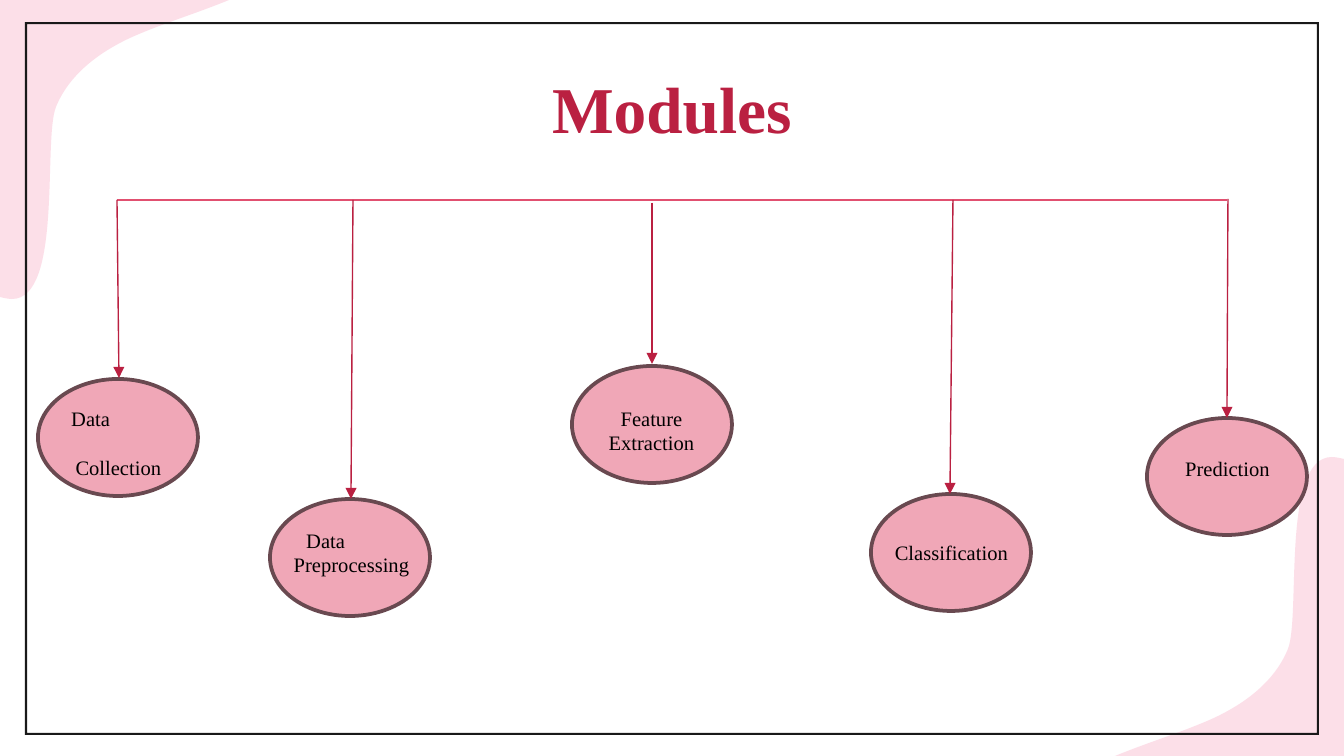
"""Build the Modules slide: five ovals hanging from one rail."""
from lxml import etree
from pptx import Presentation
from pptx import util as u
from pptx.dml.color import RGBColor
from pptx.enum import shapes, text
from pptx.oxml.ns import qn

WIDTH, HEIGHT = 1344, 756
SCALE = 9144000 / WIDTH
FONT = "Times New Roman"
COLORS = {"blob": "FABED2", "frame": "191919", "title": "BA2041", "rail": "E15070",
          "arrow": "BA2041", "oval": "F0A7B7", "outline": "694950", "label": "000000"}
TITLE = ("Modules", (106, 65, 1132, 85))
FRAME = (25, 22, 1294, 713)
RAIL = ((117, 200), (1227, 200))
OVAL_SIZE = (160, 117)
MODULES = [
    {"oval": (38, 379), "arrow": ((117, 200), (119, 378)), "box": (56, 399, 125, 63),
     "lines": [("Data", 2, 0), ("Collection", None, 13)]},
    {"oval": (270, 499), "arrow": ((353, 200), (351, 499)), "box": (275, 521, 153, 63),
     "lines": [("Data", 18, 0), ("Preprocessing", None, 0)]},
    {"oval": (572, 366), "arrow": ((652, 203), (652, 364)), "box": (587, 399, 129, 63),
     "lines": [("Feature Extraction", None, 0)]},
    {"oval": (871, 494), "arrow": ((953, 200), (950, 494)), "box": (876, 533, 151, 39),
     "lines": [("Classification", None, 0)]},
    {"oval": (1147, 418), "arrow": ((1228, 199), (1227, 418)), "box": (1153, 449, 149, 39),
     "lines": [("Prediction", None, 0)]},
]
BLOB_START = (1332, 457)
BLOB_PARTS = [
    [(1335, 457), (1340, 458), (1344, 459)],
    [(1344, 756)],
    [(1115, 756)],
    [(1149, 742), (1183, 732), (1214, 718)],
    [(1246, 703), (1275, 681), (1288, 649)],
    [(1301, 616), (1281, 457), (1332, 457)],
]


def px(value):
    return u.Emu(round(value * SCALE))


def color(name):
    return RGBColor.from_string(COLORS[name])


def paint(shape, fill, line=None):
    shape.shadow.inherit = False
    shape.fill.solid()
    shape.fill.fore_color.rgb = color(fill)
    if line:
        shape.line.color.rgb = color(line)
        shape.line.width = u.Pt(2)
    else:
        shape.line.fill.background()


def add_blob(page, place):
    parts = [[tuple(map(px, place(*point))) for point in part] for part in BLOB_PARTS]
    builder = page.shapes.build_freeform(*map(px, place(*BLOB_START)))
    builder.add_line_segments([part[-1] for part in parts])
    blob = builder.convert_to_shape()
    paint(blob, "blob")
    tint = blob.fill._xPr.find(qn("a:solidFill"))[0]
    etree.SubElement(tint, qn("a:alpha")).set("val", "49000")
    segments = list(blob._element.iter(qn("a:lnTo")))
    for segment, part in zip(segments, parts):
        if len(part) == 3:
            curve = etree.Element(qn("a:cubicBezTo"))
            for x, y in part:
                point = etree.SubElement(curve, qn("a:pt"))
                point.set("x", str(x - blob.left))
                point.set("y", str(y - blob.top))
            segment.getparent().replace(segment, curve)


def add_line(page, start, end, name, arrow=False):
    line = page.shapes.add_connector(shapes.MSO_CONNECTOR.STRAIGHT, *map(px, start + end))
    line.line.color.rgb = color(name)
    line.line.width = u.Pt(0.75)
    if arrow:
        etree.SubElement(line.line._get_or_add_ln(), qn("a:tailEnd")).set("type", "triangle")
    etree.SubElement(line._element.spPr, qn("a:effectLst"))


def style(para, size, name, bold=False):
    for span in para.runs:
        span.font.name = FONT
        span.font.size = u.Pt(size)
        span.font.bold = bold
        span.font.color.rgb = color(name)


def add_title(page):
    words, place = TITLE
    title = page.shapes.title
    page.shapes._spTree.append(title._element)
    title.left, title.top, title.width, title.height = map(px, place)
    title.text_frame.text = words
    title.text_frame.vertical_anchor = text.MSO_ANCHOR.MIDDLE
    para = title.text_frame.paragraphs[0]
    para.alignment = text.PP_ALIGN.CENTER
    style(para, 35, "title", bold=True)


def add_label(page, place, lines):
    frame = page.shapes.add_textbox(*map(px, place)).text_frame
    frame.word_wrap = True
    for index, (words, indent, gap) in enumerate(lines):
        para = frame.add_paragraph() if index else frame.paragraphs[0]
        para.text = words
        para.alignment = text.PP_ALIGN.CENTER if indent is None else text.PP_ALIGN.LEFT
        if indent:
            para._p.get_or_add_pPr().set("marL", str(px(indent)))
        if gap:
            para.space_before = u.Pt(gap)
        style(para, 11, "label")


def main():
    deck = Presentation()
    deck.slide_width, deck.slide_height = px(WIDTH), px(HEIGHT)
    page = deck.slides.add_slide(deck.slide_layouts[5])

    add_blob(page, lambda x, y: (x, y))
    add_blob(page, lambda x, y: (WIDTH - x, HEIGHT - y))
    border = page.shapes.add_shape(shapes.MSO_SHAPE.FRAME, *map(px, FRAME))
    border.adjustments[0] = 0.003
    paint(border, "frame")
    add_title(page)

    add_line(page, *RAIL, "rail")
    for module in MODULES:
        oval = page.shapes.add_shape(shapes.MSO_SHAPE.OVAL, *map(px, module["oval"] + OVAL_SIZE))
        paint(oval, "oval", "outline")
        add_label(page, module["box"], module["lines"])
    for module in MODULES:
        add_line(page, *module["arrow"], "arrow", arrow=True)
    deck.save("out.pptx")


if __name__ == "__main__":
    main()
